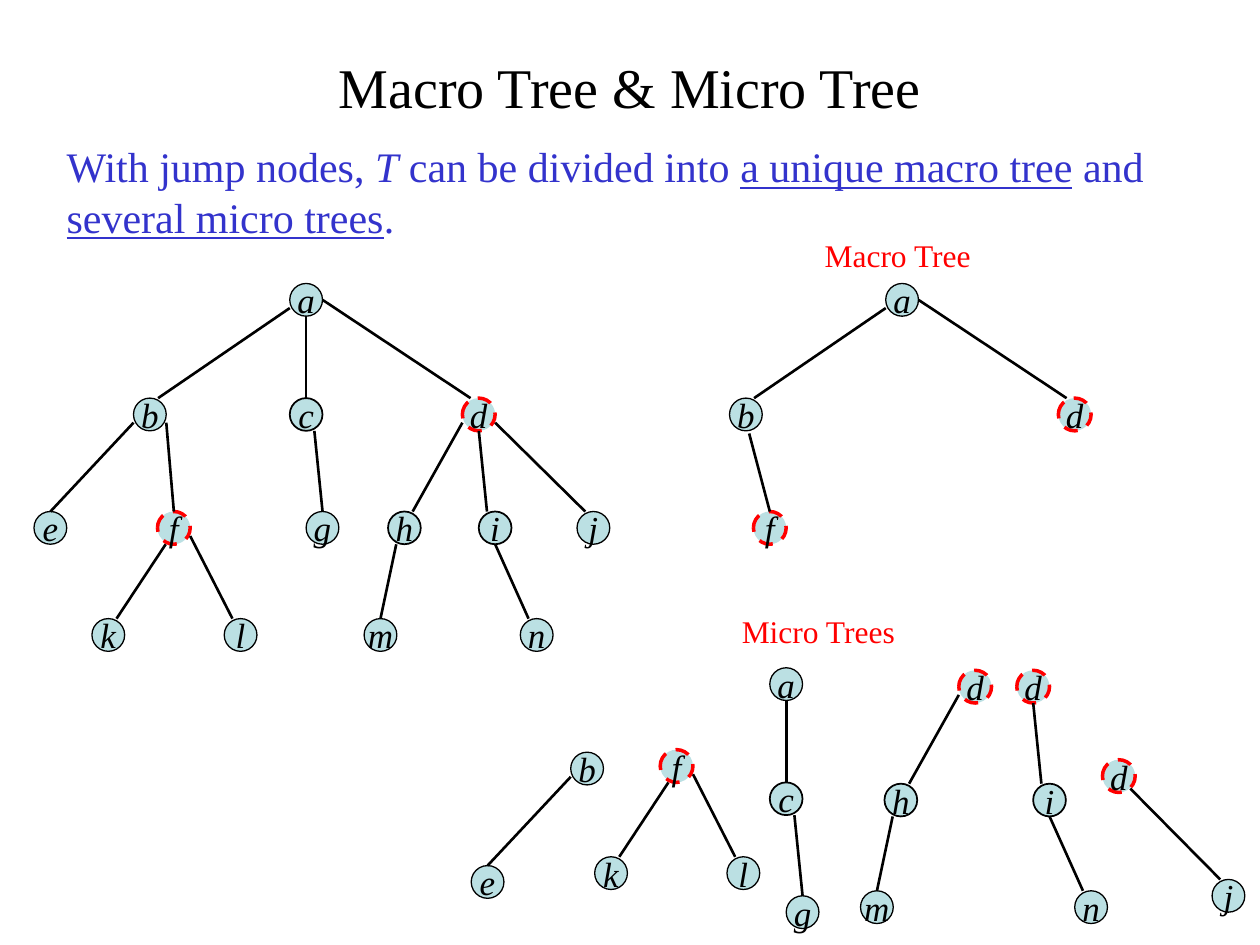
"""Build the slide that divides a tree into one macro tree and several micro trees."""
import pptx
import pptx.util
import pptx.dml.color
import pptx.enum.dml
import pptx.enum.shapes
import pptx.enum.text
import pptx.oxml

Inches, Pt = pptx.util.Inches, pptx.util.Pt
RGBColor = pptx.dml.color.RGBColor
ALIGN, ANCHOR = pptx.enum.text.PP_ALIGN, pptx.enum.text.MSO_ANCHOR

BLACK = RGBColor(0x00, 0x00, 0x00)
RED = RGBColor(0xFF, 0x00, 0x00)
BLUE = RGBColor(0x33, 0x33, 0xCC)
PALE_BLUE = RGBColor(0xBB, 0xE0, 0xE3)
FONT = "Times New Roman"
NODE_SIZE = 0.26
ROWS = (2.25, 3.16, 4.06, 4.91)

TITLE = "Macro Tree & Micro Tree"
INTRO = [
    ("With jump nodes, ", ""), ("T", "italic"), (" can be divided into ", ""),
    ("a unique macro tree", "underline"), (" and ", ""),
    ("several micro trees", "underline"), (".", ""),
]
LABELS = [("Macro Tree", 6.26, 1.86), ("Micro Trees", 5.63, 4.85)]

# name: (left, row)
NODES = {
    "a": (2.3, 0), "b": (1.06, 1), "c": (2.3, 1), "d": (3.67, 1),
    "e": (0.27, 2), "f": (1.25, 2), "g": (2.43, 2), "h": (3.08, 2),
    "i": (3.8, 2), "j": (4.58, 2),
    "k": (0.73, 3), "l": (1.78, 3), "m": (2.89, 3), "n": (4.13, 3),
}
JUMP_NODES = "df"
HEAVY_NODES = "chi"

# parent and child: (share across child's top, share across parent, share down parent)
EDGES = {
    "ab": (0.75, 0, 0.75), "ac": (0.5, 0.5, 1), "ad": (0.25, 1, 0.5),
    "be": (0.5, 0, 0.75), "bf": (0.5, 1, 0.75), "cg": (0.5, 0.75, 1),
    "dh": (0.75, 0, 0.75), "di": (0.25, 0.5, 1), "dj": (0.25, 1, 0.75),
    "fk": (0.75, 0.25, 1), "fl": (0.25, 1, 0.75),
    "hm": (0.5, 0.25, 1), "in": (0.25, 0.5, 1),
}

# nodes, shift right, shift down, changed edges, moved nodes
TREES = [
    ("abcdefghijklmn", 0, 0, {}, {}),
    ("abdf", 4.73, 0, {"bf": (0.5, 0.6, 1.08)}, {}),
    ("be", 3.47, 2.81, {}, {}),
    ("fkl", 3.99, 1.89, {}, {}),
    ("acg", 3.81, 3.05, {}, {}),
    ("dhm", 3.94, 2.16, {}, {}),
    ("din", 4.4, 2.16, {}, {}),
    ("dj", 5.04, 2.92, {"dj": (0.25, 0.85, 0.88)}, {"d": (0.04, -0.05)}),
]


def write_text(shape, runs, size=20, color=BLACK, italic=False,
               align=ALIGN.CENTER, anchor=ANCHOR.MIDDLE, wrap=False):
    """Fill a shape with one paragraph, given as text or as (text, style) runs."""
    frame = shape.text_frame
    frame.auto_size = pptx.enum.text.MSO_AUTO_SIZE.NONE
    frame.word_wrap = wrap
    frame.vertical_anchor = anchor
    paragraph = frame.paragraphs[0]
    paragraph.alignment = align
    for text, style in [(runs, "")] if isinstance(runs, str) else runs:
        run = paragraph.add_run()
        run.text = text
        run.font.name = FONT
        run.font.size = Pt(size)
        run.font.color.rgb = color
        run.font.italic = italic or style == "italic"
        run.font.underline = style == "underline"


def add_node(slide, name, left, top):
    """Draw a round node, dashed in red when it is a jump node."""
    node = slide.shapes.add_shape(pptx.enum.shapes.MSO_SHAPE.OVAL, Inches(left), Inches(top),
                                  Inches(NODE_SIZE), Inches(NODE_SIZE))
    node.shadow.inherit = False
    node.fill.solid()
    node.fill.fore_color.rgb = PALE_BLUE
    jump = name in JUMP_NODES
    node.line.color.rgb = RED if jump else BLACK
    node.line.width = Pt(2 if jump else 1 if name in HEAVY_NODES else 0.75)
    if jump:
        node.line.dash_style = pptx.enum.dml.MSO_LINE.DASH
    write_text(node, name, italic=True)


def add_edge(slide, child, parent, shares):
    """Draw a line from the top of the child to a point on the parent."""
    child_across, parent_across, parent_down = shares
    edge = slide.shapes.add_connector(
        pptx.enum.shapes.MSO_CONNECTOR.STRAIGHT,
        Inches(child[0] + child_across * NODE_SIZE), Inches(child[1]),
        Inches(parent[0] + parent_across * NODE_SIZE),
        Inches(parent[1] + parent_down * NODE_SIZE))
    edge.line.color.rgb = BLACK
    edge.line.width = Pt(1.5)
    properties = edge.element.spPr
    properties.append(properties.makeelement(pptx.oxml.ns.qn("a:effectLst"), {}))


def add_tree(slide, names, right, down, changed_edges, moved_nodes):
    """Draw the chosen nodes, shifted together, and every edge between them."""
    places = {}
    for name in names:
        left, row = NODES[name]
        move_right, move_down = moved_nodes.get(name, (0, 0))
        places[name] = (left + right + move_right, ROWS[row] + down + move_down)
        add_node(slide, name, *places[name])
    for (parent, child), shares in EDGES.items():
        if parent in places and child in places:
            add_edge(slide, places[child], places[parent],
                     changed_edges.get(parent + child, shares))


def main():
    """Assemble and save the slide."""
    presentation = pptx.Presentation()
    presentation.slide_width, presentation.slide_height = Inches(10), Inches(7.5)
    slide = presentation.slides.add_slide(presentation.slide_layouts[5])

    title = slide.shapes.title
    title.left, title.top = Inches(0.5), Inches(0.3)
    title.width, title.height = Inches(9), Inches(0.77)
    write_text(title, TITLE, size=32, wrap=True)

    intro = slide.shapes.add_textbox(Inches(0.43), Inches(1.07), Inches(9.21), Inches(0.9))
    write_text(intro, INTRO, size=24, color=BLUE, align=ALIGN.LEFT,
               anchor=ANCHOR.TOP, wrap=True)

    for tree in TREES:
        add_tree(slide, *tree)
    for text, left, top in LABELS:
        label = slide.shapes.add_textbox(Inches(left), Inches(top), Inches(1.73), Inches(0.32))
        write_text(label, text, size=18, color=RED)

    presentation.save("out.pptx")


if __name__ == "__main__":
    main()
